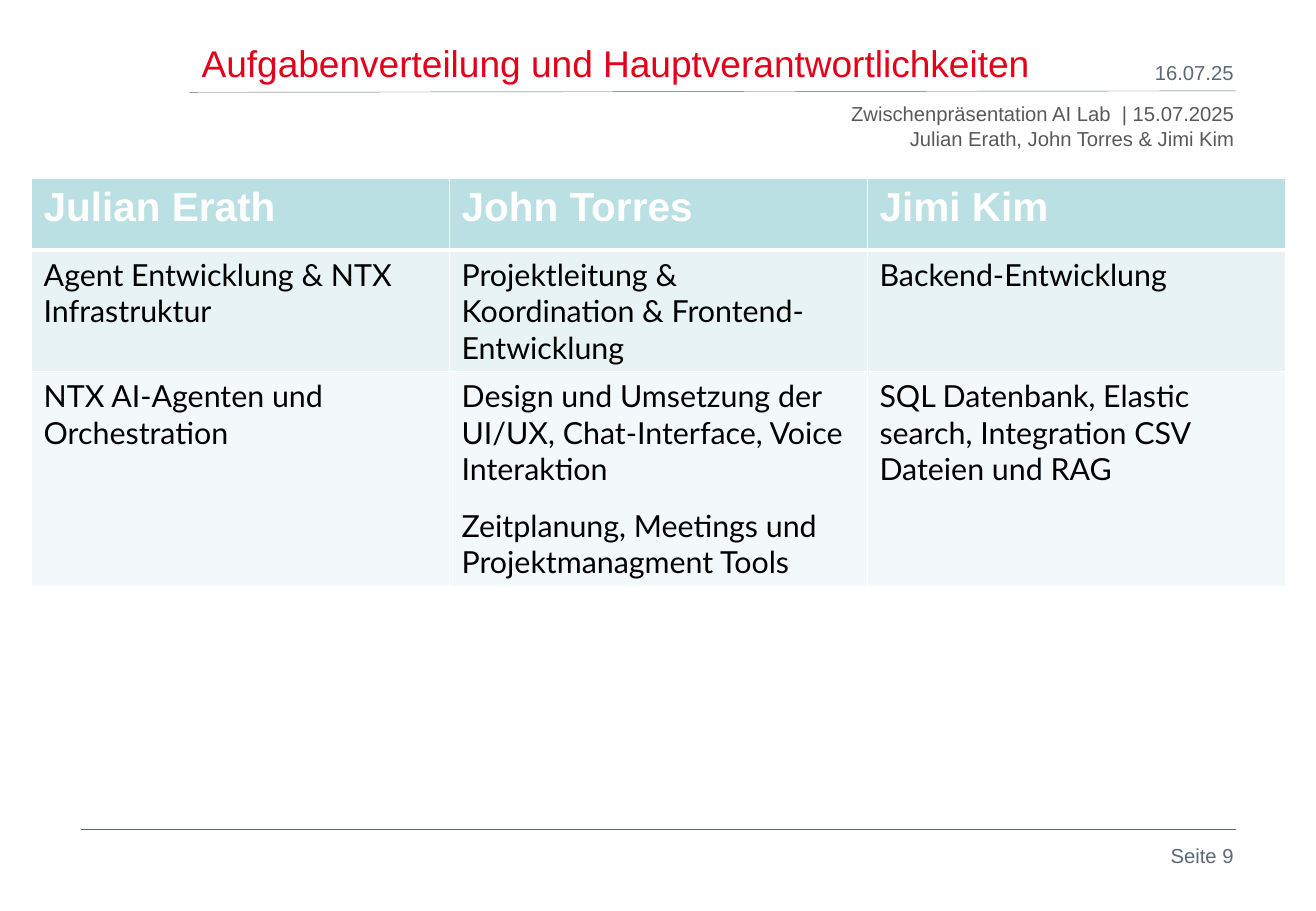
import pptx
import pptx.dml.color
import pptx.enum.shapes
import pptx.enum.text
import pptx.oxml
import pptx.oxml.ns
import pptx.util
from lxml import etree

Cm, Pt = pptx.util.Cm, pptx.util.Pt
RGBColor = pptx.dml.color.RGBColor
ALIGN = pptx.enum.text.PP_ALIGN
ANCHOR = pptx.enum.text.MSO_ANCHOR

RED = RGBColor(0xE2, 0x00, 0x1A)
SLATE = RGBColor(0x5C, 0x69, 0x71)
GREY = RGBColor(0x59, 0x59, 0x59)
BLACK = RGBColor(0x00, 0x00, 0x00)
WHITE = RGBColor(0xFF, 0xFF, 0xFF)
ROW_FILLS = [RGBColor(0xBB, 0xE0, 0xE3), RGBColor(0xE7, 0xF3, 0xF4),
             RGBColor(0xF3, 0xF9, 0xFA)]

TITLE = {"name": "Arial", "size": Pt(22), "bold": False, "color": RED}
SMALL = {"name": "Arial", "size": Pt(12), "color": SLATE}
HEAD = {"name": "Arial", "size": Pt(24), "bold": True, "color": WHITE}
BODY = {"name": "Lato", "size": Pt(18), "bold": False, "color": BLACK}

TASKS = [
    ["Julian Erath", "John Torres", "Jimi Kim"],
    ["Agent Entwicklung & NTX Infrastruktur",
     "Projektleitung & Koordination & Frontend-Entwicklung",
     "Backend-Entwicklung"],
    ["NTX AI-Agenten und Orchestration",
     "Design und Umsetzung der UI/UX, Chat-Interface, Voice Interaktion\n"
     "Zeitplanung, Meetings und Projektmanagment Tools",
     "SQL Datenbank, Elastic search, Integration CSV Dateien und RAG"],
]


class Deck:
    def __init__(self, width, height):
        self.prs = pptx.Presentation()
        self.prs.slide_width, self.prs.slide_height = Cm(width), Cm(height)
        self.s = self.prs.slides.add_slide(self.prs.slide_layouts[5])

    def set_text(self, tf, text, style, align=ALIGN.LEFT, space_after=0):
        """Fill a text frame; newlines part paragraphs, \\v breaks a line."""
        tf.text = text
        for p in tf.paragraphs:
            p.alignment = align
            p.space_after = Pt(space_after)
            for r in p.runs:
                for key, value in style.items():
                    if key == "color":
                        r.font.color.rgb = value
                    else:
                        setattr(r.font, key, value)

    def title(self, text, x, y, w, h):
        sp = self.s.shapes.title
        sp.left, sp.top, sp.width, sp.height = Cm(x), Cm(y), Cm(w), Cm(h)
        tf = sp.text_frame
        tf.vertical_anchor = ANCHOR.BOTTOM
        tf.auto_size = pptx.enum.text.MSO_AUTO_SIZE.NONE
        self.set_text(tf, text, TITLE)

    def right_text(self, text, x, y, w, h, **changes):
        tf = self.s.shapes.add_textbox(Cm(x), Cm(y), Cm(w), Cm(h)).text_frame
        tf.word_wrap = True
        self.set_text(tf, text, {**SMALL, **changes}, ALIGN.RIGHT)

    def rule(self, x1, y1, x2, y2):
        line = self.s.shapes.add_connector(
            pptx.enum.shapes.MSO_CONNECTOR.STRAIGHT,
            Cm(x1), Cm(y1), Cm(x2), Cm(y2))
        line.line.color.rgb = SLATE
        line.line.width = Pt(0.25)
        etree.SubElement(line._element.spPr, pptx.oxml.ns.qn("a:effectLst"))

    def borders(self, cell, **widths):
        tcPr = cell._tc.get_or_add_tcPr()
        for side in "LRTB":
            tcPr.append(pptx.oxml.parse_xml(
                f'<a:ln{side} {pptx.oxml.ns.nsdecls("a")} '
                f'w="{int(Pt(widths.get(side, 1)))}"><a:solidFill>'
                f'<a:srgbClr val="{WHITE}"/></a:solidFill></a:ln{side}>'))

    def table(self, rows, x, y, w, heights):
        table = self.s.shapes.add_table(
            len(rows), len(rows[0]), Cm(x), Cm(y), Cm(w),
            Cm(sum(heights))).table
        table.horz_banding = False
        for i, texts in enumerate(rows):
            table.rows[i].height = Cm(heights[i])
            for j, text in enumerate(texts):
                cell = table.cell(i, j)
                self.borders(cell, **({"B": 3} if i == 0 else
                                      {"T": 3} if i == 1 else {}))
                cell.fill.solid()
                cell.fill.fore_color.rgb = ROW_FILLS[i]
                self.set_text(cell.text_frame, text, BODY if i else HEAD,
                              space_after=12 if i else 0)


def main():
    deck = Deck(27.51, 19.05)
    deck.rule(3.96, 1.93, 25.83, 1.9)
    deck.rule(1.7, 17.35, 25.83, 17.35)
    deck.right_text("Zwischenpräsentation AI Lab  | 15.07.2025\v"
                    "Julian Erath, John Torres & Jimi Kim",
                    10.36, 2, 15.7, 1.68, color=GREY)
    deck.title("Aufgabenverteilung und Hauptverantwortlichkeiten",
               3.96, -0.43, 23.7, 2.34)
    deck.table(TASKS, 0.66, 3.73, 26.21, [1.5, 2.54, 4.46])
    deck.right_text("16.07.25", 20.55, 1.14, 5.49, 0.79)
    deck.right_text("Seite 9", 23.5, 17.5, 2.54, 1.27)
    deck.prs.save("out.pptx")


if __name__ == "__main__":
    main()
